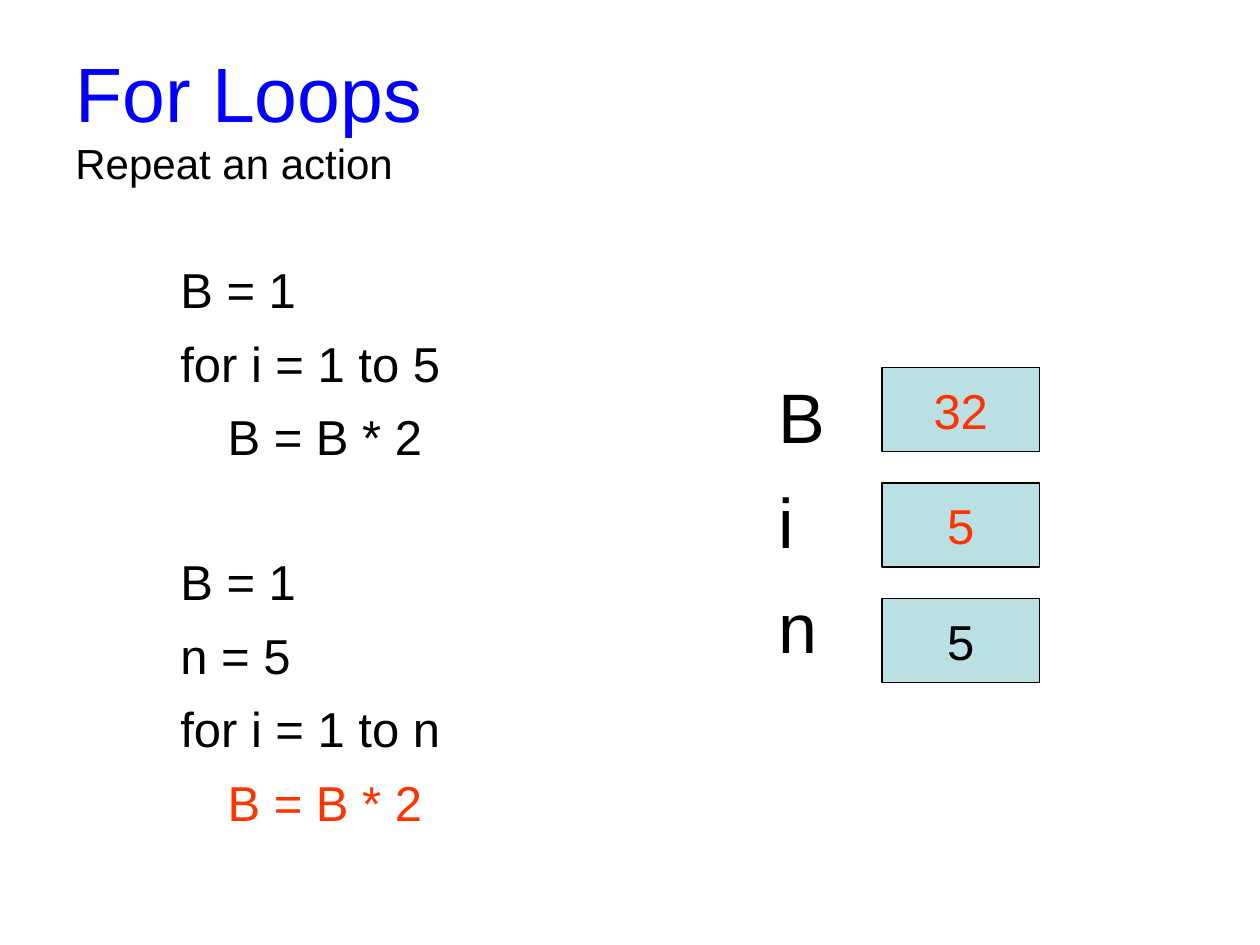
from pptx import Presentation
from pptx.dml.color import RGBColor
from pptx.enum.shapes import MSO_SHAPE
from pptx.enum.text import MSO_ANCHOR, PP_ALIGN
from pptx.util import Pt

RECTANGLE = MSO_SHAPE.RECTANGLE
TOP, MIDDLE = MSO_ANCHOR.TOP, MSO_ANCHOR.MIDDLE
LEFT, CENTER = PP_ALIGN.LEFT, PP_ALIGN.CENTER

FONT = "Arial"
COLORS = {"title": "0000FF", "text": "000000", "changed": "FF3300", "cell": "BBE0E3"}

# Content: text, size, colour
HEADING = [("For Loops", 44, "title"), ("Repeat an action", 24, "text")]

# Code lines of each example: text, indent level, colour
EXAMPLES = [
    [("B = 1", 0, "text"), ("for i = 1 to 5", 0, "text"), ("B = B * 2", 1, "text")],
    [("B = 1", 0, "text"), ("n = 5", 0, "text"), ("for i = 1 to n", 0, "text"),
     ("B = B * 2", 1, "changed")],
]

# Variables: name, value, colour of the value
VARIABLES = [("B", "32", "changed"), ("i", "5", "changed"), ("n", "5", "text")]

# Layout
CODE_SIZE, CODE_GAP, EXAMPLE_GAP, CODE_INDENT = 28, 8.4, 49, 27
NAME_SIZE, NAME_GAP = 40, 12
CELL_LEFT, CELL_TOP, CELL_WIDTH, CELL_HEIGHT, CELL_PITCH = 504, 210, 90, 48, 66


def color(key):
    return RGBColor.from_string(COLORS[key])


def write(frame, lines, anchor=TOP, align=LEFT):
    """Fill a frame with lines of (text, size, colour, space before, indent)."""
    frame.vertical_anchor = anchor
    frame.text = "\n".join(line[0] for line in lines)
    for paragraph, (_, size, color_key, before, indent) in zip(frame.paragraphs, lines):
        paragraph.alignment = align
        paragraph.space_before = Pt(before)
        if indent:
            paragraph._p.get_or_add_pPr().set("marL", str(Pt(indent)))
        for run in paragraph.runs:
            run.font.name = FONT
            run.font.size = Pt(size)
            run.font.color.rgb = color(color_key)


def add_text(slide, box, lines, anchor=TOP):
    frame = slide.shapes.add_textbox(*map(Pt, box)).text_frame
    frame.word_wrap = True
    write(frame, lines, anchor)


def main():
    prs = Presentation()
    prs.slide_width, prs.slide_height = Pt(720), Pt(540)
    slide = prs.slides.add_slide(prs.slide_layouts[6])

    # Heading
    add_text(slide, (36, 21.6, 648, 90),
             [(*line, 0, 0) for line in HEADING], MIDDLE)

    # Code examples, with a wider gap between them
    code = []
    for example in EXAMPLES:
        for number, (text, level, color_key) in enumerate(example):
            before = CODE_GAP if number else EXAMPLE_GAP if code else 0
            code.append((text, CODE_SIZE, color_key, before, level * CODE_INDENT))
    add_text(slide, (96, 145, 294, 372), code)

    # Variable names
    add_text(slide, (438, 210, 60, 190),
             [(name, NAME_SIZE, "text", NAME_GAP if row else 0, 0)
              for row, (name, _, _) in enumerate(VARIABLES)])

    # Memory cells with the current values
    for row, (_, value, color_key) in enumerate(VARIABLES):
        cell = slide.shapes.add_shape(
            RECTANGLE, Pt(CELL_LEFT), Pt(CELL_TOP + row * CELL_PITCH),
            Pt(CELL_WIDTH), Pt(CELL_HEIGHT))
        cell.shadow.inherit = False
        cell.fill.solid()
        cell.fill.fore_color.rgb = color("cell")
        cell.line.color.rgb = color("text")
        cell.line.width = Pt(0.75)
        cell.text_frame.word_wrap = False
        write(cell.text_frame, [(value, CODE_SIZE, color_key, 0, 0)], MIDDLE, CENTER)

    prs.save("out.pptx")


if __name__ == "__main__":
    main()
